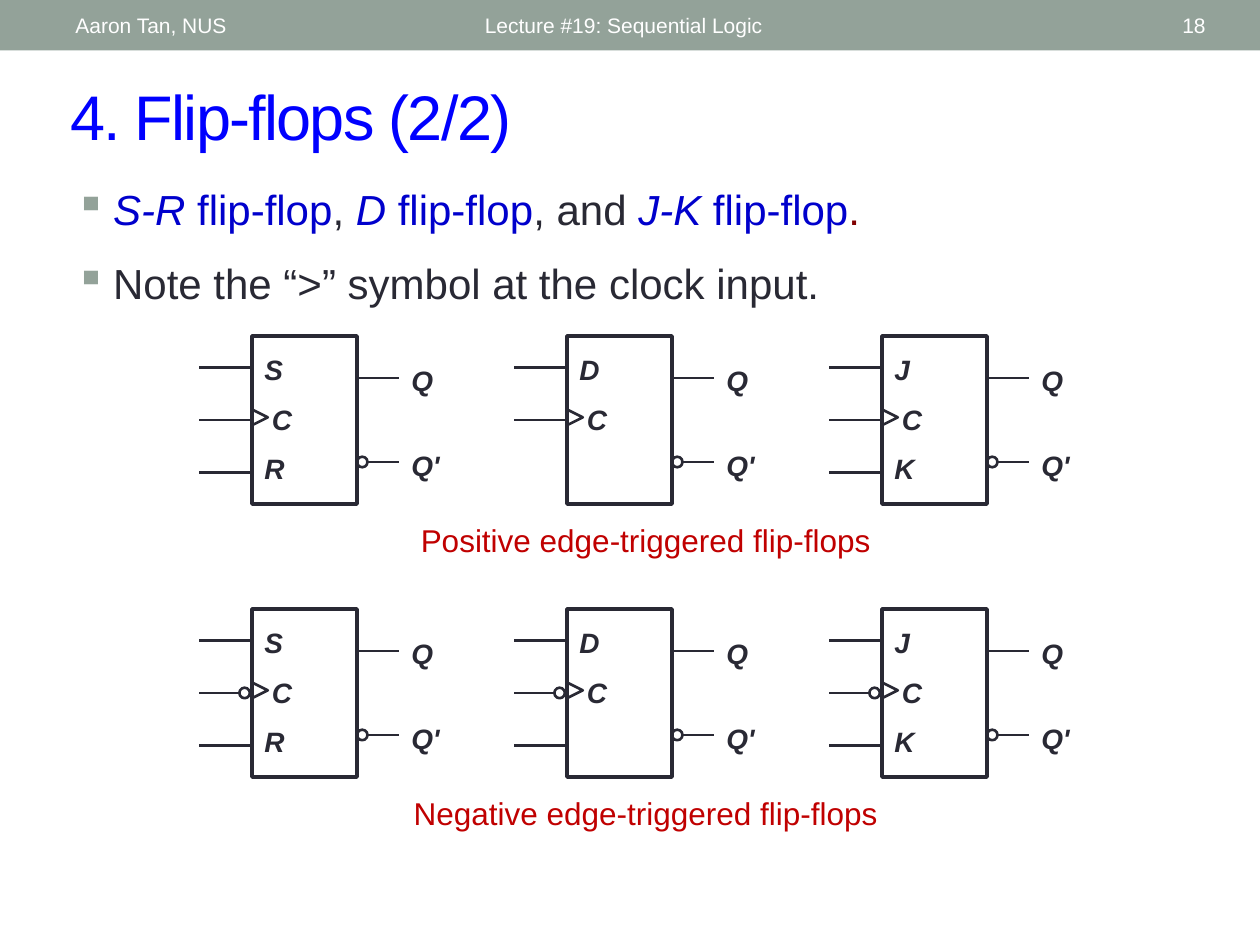
from pptx import Presentation
from pptx import util as u
from pptx.dml import color
from pptx.enum import shapes, text
from pptx.oxml import ns, xmlchemy

UNIT = u.Inches(1) / 12
INK, BLUE, SAGE = "292934", "0000CC", "93A299"
LABEL = {"size": u.Pt(16), "bold": True, "italic": True}


def grid(*lengths):
    """Turn columns and rows, twelve to the inch, into whole EMU."""
    return [u.Emu(round(length * UNIT)) for length in lengths]


def rgb(hex_string):
    """Give the colour of a hex string."""
    return color.RGBColor.from_string(hex_string)


def set_all(target, values):
    """Set every attribute named in a dict."""
    for name, value in values.items():
        setattr(target, name, value)


def add_words(parent, box, paragraphs, style, ink=INK, align="LEFT", anchor="TOP", gap=0):
    """Write paragraphs, each a list of (words, changed format, colour) runs."""
    frame = parent.add_textbox(*grid(*box)).text_frame
    set_all(frame, {"word_wrap": True, "vertical_anchor": text.MSO_ANCHOR[anchor]})
    for index, runs in enumerate(paragraphs):
        paragraph = frame.paragraphs[0] if index == 0 else frame.add_paragraph()
        set_all(paragraph, {"alignment": text.PP_ALIGN[align],
                            "space_before": u.Pt(gap if index else 0)})
        for words, changes, run_ink in runs:
            run = paragraph.add_run()
            run.text = words
            set_all(run.font, {"name": "Arial", **style, **changes})
            run.font.color.rgb = rgb(run_ink or ink)
    return frame


def plain(*lines):
    """Make one unchanged run for each line."""
    return [[(line, {}, None)] for line in lines]


def add_outline(parent, preset, box, width=1.5, rotation=0):
    """Draw an unfilled preset shape."""
    outline = parent.add_shape(shapes.MSO_SHAPE[preset], *grid(*box))
    outline.shadow.inherit = False
    outline.fill.background()
    outline.line.color.rgb = rgb(INK)
    set_all(outline.line, {"width": u.Pt(width)})
    outline.rotation = rotation
    return outline


def add_lead(parent, start, end, row):
    """Draw a level wire between two columns."""
    lead = parent.add_connector(shapes.MSO_CONNECTOR.STRAIGHT, *grid(start, row, end, row))
    lead.line.color.rgb = rgb(INK)
    lead.line.width = u.Pt(1.5)
    lead._element.spPr.append(xmlchemy.OxmlElement("a:effectLst"))
    return lead


def add_flip_flop(parent, box, upper, lower, falling, lower_lead):
    """Draw one flip-flop symbol around its body box."""
    left, top, width, height = box
    right, middle = left + width, top + height / 2
    body = add_outline(parent, "RECTANGLE", box, width=2)

    add_lead(parent, left - 5, left, top + 3)
    if lower_lead:
        add_lead(parent, left - 5, left, top + 13)
    clock = add_lead(parent, left - 5, left - falling, middle)
    if falling:
        add_outline(parent, "OVAL", (left - 1.2, middle - 0.5, 1, 1))
    else:
        clock.end_connect(body, 1)
    add_outline(parent, "ISOSCELES_TRIANGLE", (left, top + 7, 1.5, 1.5), rotation=90)

    add_lead(parent, right, right + 4, top + 4)
    add_outline(parent, "OVAL", (right, top + 11.5, 1, 1))
    add_lead(parent, right + 1, right + 4, top + 12)

    names = [upper, "C"] + ([lower] if lower else [])
    inputs = add_words(parent, (left, top + 1, 7, 14 if lower else 9.2),
                       plain(*names), LABEL, gap=9)
    inputs.paragraphs[1]._p.get_or_add_pPr().set("marL", str(u.Inches(0.06)))
    add_words(parent, (right + 4, top + 2, 6, 12.7), plain("Q", "Q'"), LABEL, gap=29.6)


def add_symbol_row(slide, top, caption, falling):
    """Draw the three flip-flops of one clock edge and their caption."""
    parent = slide.shapes.add_group_shape().shapes
    for index, (upper, lower) in enumerate([("S", "R"), ("D", ""), ("J", "K")]):
        add_flip_flop(parent, (24 + 30 * index, top, 10, 16), upper, lower,
                      falling, falling or bool(lower))
    add_words(parent, (37.5, top + 17, 48, 4.8), plain(caption),
              {"size": u.Pt(18)}, "C00000", "CENTER")


def add_header(slide, box):
    """Draw the band with author, lecture and page number."""
    band = slide.shapes.add_shape(shapes.MSO_SHAPE.RECTANGLE, *grid(*box))
    band.shadow.inherit = False
    band.fill.solid()
    band.fill.fore_color.rgb = rgb(SAGE)
    band.line.fill.background()
    left, top, _, height = box
    for words, column, width, align in [("Aaron Tan, NUS", 6, 38, "LEFT"),
                                        ("Lecture #19: Sequential Logic", 45, 54, "LEFT"),
                                        ("18", 104.6, 11.4, "RIGHT")]:
        add_words(slide.shapes, (left + column, top + 0.25, width, height - 0.5),
                  plain(words), {"size": u.Pt(12)}, "FFFFFF", align, "MIDDLE")


def add_title(slide, box):
    """Write the tightly spaced slide title."""
    frame = add_words(slide.shapes, box, plain("4. Flip-flops (2/2)"),
                      {"size": u.Pt(36)}, "0000FF", anchor="MIDDLE")
    frame.paragraphs[0].runs[0].font._element.set("spc", "-100")


def add_points(slide, box):
    """Write the two bulleted points."""
    kinds = []
    for letters, ending, ending_ink in [("S-R", ", ", INK), ("D", ", and ", INK),
                                        ("J-K", ".", "800000")]:
        kinds += [(letters, {"italic": True}, BLUE), (" flip-flop", {}, BLUE),
                  (ending, {}, ending_ink)]
    note = plain("Note the “>” symbol at the clock input.")
    frame = add_words(slide.shapes, box, [kinds] + note, {"size": u.Pt(24)}, gap=13.5)
    frame.margin_top = u.Inches(0.08)
    for paragraph in frame.paragraphs:
        properties = paragraph._p.get_or_add_pPr()
        properties.set("marL", str(u.Inches(0.3)))
        properties.set("indent", str(-u.Inches(0.3)))
        properties.append(xmlchemy.OxmlElement("a:buClr"))
        tint = xmlchemy.OxmlElement("a:srgbClr")
        tint.set("val", SAGE)
        properties.find(ns.qn("a:buClr")).append(tint)
        bullet = xmlchemy.OxmlElement("a:buChar")
        bullet.set("char", "▪")
        properties.append(bullet)


def main():
    """Build and save the slide."""
    deck = Presentation()
    set_all(deck, {"slide_width": u.Inches(10), "slide_height": u.Inches(7.5)})
    slide = deck.slides.add_slide(deck.slide_layouts[6])
    add_header(slide, (0, 0, 120, 4.8))
    add_title(slide, (5.5, 6.8, 110.5, 8.4))
    add_points(slide, (6, 16.5, 108, 14.4))
    add_symbol_row(slide, 32, "Positive edge-triggered flip-flops", False)
    add_symbol_row(slide, 58, "Negative edge-triggered flip-flops", True)
    deck.save("out.pptx")


if __name__ == "__main__":
    main()
